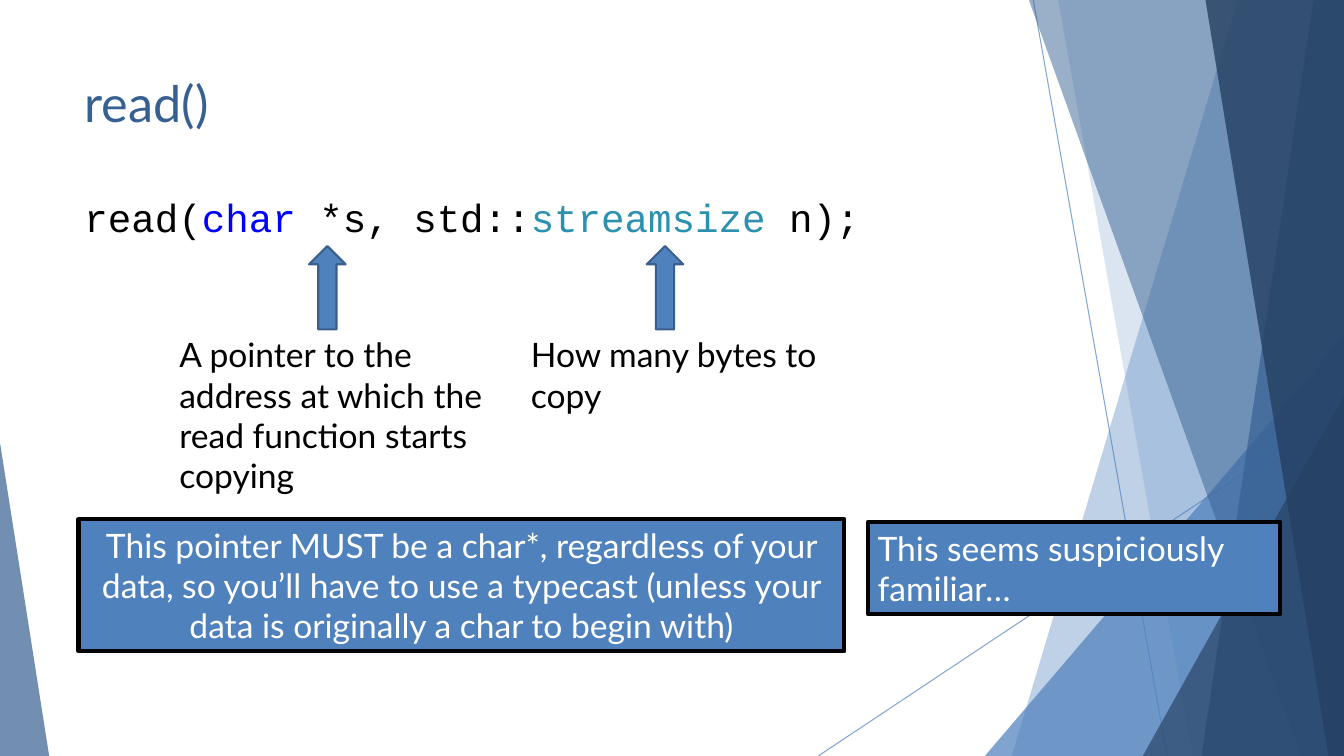
from pptx import Presentation
from pptx.dml.color import RGBColor
from pptx.enum.shapes import MSO_CONNECTOR as Connector, MSO_SHAPE as Preset
from pptx.enum.text import MSO_ANCHOR as Anchor, MSO_AUTO_SIZE as AutoSize, PP_ALIGN as Align
from pptx.oxml.ns import qn
from pptx.util import Cm, Pt
from lxml.etree import SubElement

BLUE = RGBColor(0x4F, 0x81, 0xBD)
DEEP = RGBColor(0x37, 0x60, 0x92)
NAVY = RGBColor(0x25, 0x40, 0x61)
EDGE = RGBColor(0x3A, 0x5F, 0x8C)
BLACK = RGBColor(0, 0, 0)
WHITE = RGBColor(0xFF, 0xFF, 0xFF)
KEYWORD = RGBColor(0, 0, 0xFF)
TYPE_NAME = RGBColor(0x2B, 0x91, 0xAF)
WIDTH, HEIGHT = 33.87, 19.05


def set_opacity(shape, percent):
    for color in shape.element.spPr.iter(qn("a:srgbClr")):
        SubElement(color, qn("a:alpha")).set("val", str(percent * 1000))


def paint(shape, color, line_color=None, line_width=0):
    shape.shadow.inherit = False
    shape.fill.solid()
    shape.fill.fore_color.rgb = color
    if line_color is None:
        shape.line.fill.background()
    else:
        shape.line.color.rgb = line_color
        shape.line.width = Pt(line_width)


def write(shape, spans, size, font="Lato", align=Align.LEFT, anchor=Anchor.TOP, fit=AutoSize.SHAPE_TO_FIT_TEXT):
    frame = shape.text_frame
    frame.word_wrap = True
    frame.auto_size = fit
    frame.vertical_anchor = anchor
    para = frame.paragraphs[0]
    para.alignment = align
    for text, color in spans:
        span = para.add_run()
        span.text = text
        span.font.name = font
        span.font.size = Pt(size)
        span.font.color.rgb = color


def add_ray(page, start, end):
    ray = page.shapes.add_connector(Connector.STRAIGHT, *map(Cm, start + end))
    ray.line.color.rgb = BLUE
    ray.line.width = Pt(0.75)
    SubElement(ray.element.spPr, qn("a:effectLst"))
    set_opacity(ray, 70)


def add_band(page, top_x, bottom_x, color, opacity):
    builder = page.shapes.build_freeform(Cm(top_x), 0)
    corners = [(WIDTH, 0), (WIDTH, HEIGHT), (bottom_x, HEIGHT)]
    builder.add_line_segments([(Cm(x), Cm(y)) for x, y in corners])
    band = builder.convert_to_shape()
    paint(band, color)
    set_opacity(band, opacity)


def add_wedge(page, left, top, right, apex, color, opacity):
    wedge = page.shapes.add_shape(
        Preset.ISOSCELES_TRIANGLE, Cm(left), Cm(top), Cm(right - left), Cm(HEIGHT - top))
    wedge.adjustments[0] = apex
    paint(wedge, color)
    set_opacity(wedge, opacity)


def add_facets(page):
    add_ray(page, (26.04, 0), (29.41, HEIGHT))
    add_ray(page, (WIDTH, 10.24), (20.62, HEIGHT))
    add_band(page, 31.19, 25.5, BLUE, 36)
    add_band(page, 26.67, 30.05, BLUE, 20)
    add_wedge(page, 24.82, 8.46, WIDTH, 1, BLUE, 72)
    add_band(page, 25.93, 32.79, DEEP, 50)
    add_band(page, 33.1, 30.28, DEEP, 70)
    add_band(page, 30.38, 33.48, NAVY, 80)
    add_wedge(page, 28.8, 9.98, WIDTH, 1, NAVY, 66)
    add_wedge(page, 0, 11.15, 1.24, 0, DEEP, 70)


def add_title(page, left, top, width, height):
    title = page.shapes.title
    title.left, title.top, title.width, title.height = map(Cm, (left, top, width, height))
    write(title, [("read()", DEEP)], 36, fit=AutoSize.NONE)


def add_signature(page, left, top, width, height):
    box = page.shapes.add_textbox(*map(Cm, (left, top, width, height)))
    spans = [("read(", BLACK), ("char", KEYWORD), (" *s, std::", BLACK),
             ("streamsize ", TYPE_NAME), ("n);", BLACK)]
    write(box, spans, 28, "Courier New")


def add_argument_note(page, left, top, width, height, arrow_offset, text):
    arrow_height = 2.1
    box = page.shapes.add_textbox(
        Cm(left), Cm(top + arrow_height), Cm(width), Cm(height - arrow_height))
    write(box, [(text, BLACK)], 24)
    arrow = page.shapes.add_shape(
        Preset.UP_ARROW, Cm(left + arrow_offset), Cm(top), Cm(0.92), Cm(arrow_height))
    paint(arrow, BLUE, EDGE, 1.5)


def add_callout(page, left, top, width, height, text, align):
    box = page.shapes.add_shape(Preset.RECTANGLE, *map(Cm, (left, top, width, height)))
    paint(box, BLUE, BLACK, 3)
    write(box, [(text, WHITE)], 24, align=align, anchor=Anchor.MIDDLE)


def add_read_slide(deck):
    page = deck.slides.add_slide(deck.slide_layouts[5])
    add_facets(page)
    add_title(page, 1.88, 1.7, 23.88, 2.03)
    add_signature(page, 1.88, 4.75, 25.37, 1.45)
    add_argument_note(page, 4.27, 6.2, 8.86, 6.47, 3.52,
                      "A pointer to the address at which the read function starts copying")
    add_argument_note(page, 13.13, 6.2, 8.86, 4.41, 3.17, "How many bytes to copy")
    add_callout(page, 21.87, 13.16, 10.39, 2.31, "This seems suspiciously familiar…", Align.LEFT)
    add_callout(page, 1.98, 13.08, 19.3, 3.33,
                "This pointer MUST be a char*, regardless of your data, so you’ll have to use "
                "a typecast (unless your data is originally a char to begin with)", Align.CENTER)
    backdrop = [shape.element for shape in page.shapes if shape != page.shapes.title][:10]
    for element in backdrop:
        page.shapes.title.element.addprevious(element)


deck = Presentation()
deck.slide_width, deck.slide_height = Cm(WIDTH), Cm(HEIGHT)
add_read_slide(deck)
deck.save("out.pptx")
